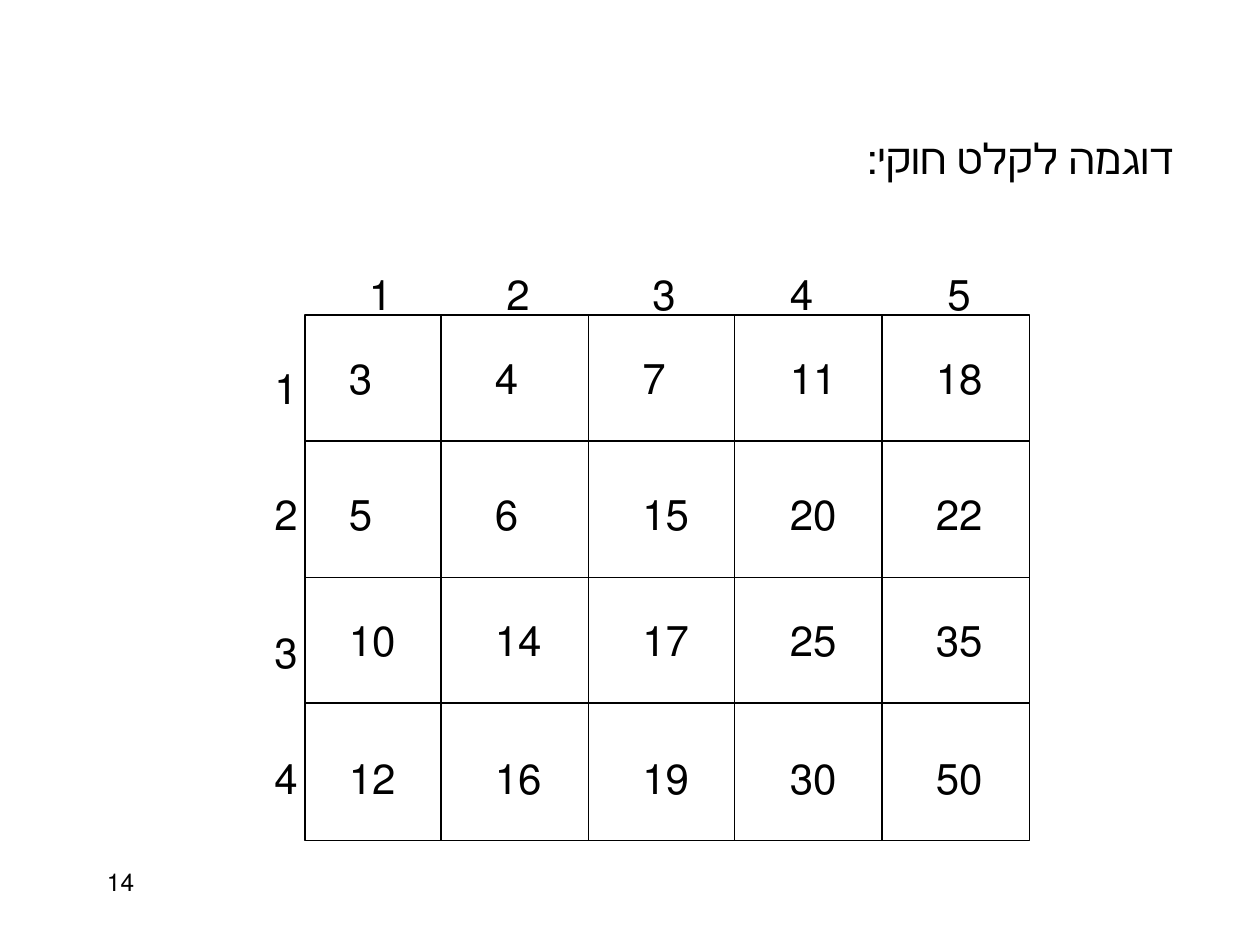
from dataclasses import dataclass

from lxml.etree import SubElement
from pptx import Presentation
from pptx.dml.color import RGBColor
from pptx.enum.shapes import MSO_CONNECTOR, MSO_SHAPE
from pptx.enum.text import MSO_AUTO_SIZE, PP_ALIGN
from pptx.oxml.ns import qn
from pptx.util import Inches, Pt


@dataclass(frozen=True)
class Theme:
    ink: RGBColor = RGBColor(0, 0, 0)
    paper: RGBColor = RGBColor(255, 255, 255)
    font: str = "Times New Roman"
    body: float = 24
    number: float = 14
    before: float = 15
    line: float = 0.75


@dataclass(frozen=True)
class Label:
    text: str
    left: float
    top: float
    width: float


THEME = Theme()

# Grid edges and the places of the labels, in inches
COLUMN_EDGES = [2.42, 3.5, 4.67, 5.83, 7, 8.17]
ROW_EDGES = [2.5, 3.5, 4.58, 5.58, 6.67]
MIDDLE_ROW = 4.58
COLUMN_HEADING_LEFTS = [2.83, 3.92, 5.08, 6.17, 7.42]
ROW_HEADING_TOPS = [2.83, 3.83, 4.92, 5.92]
CELL_LEFTS = [2.67, 3.83, 5, 6.17, 7.33]
CELL_TOPS = [2.75, 3.83, 4.83, 5.92]
HEADING_WIDTH, CELL_WIDTH = 0.5, 0.67

VALUES = [
    [3, 4, 7, 11, 18],
    [5, 6, 15, 20, 22],
    [10, 14, 17, 25, 35],
    [12, 16, 19, 30, 50],
]


def add_text(shapes, label: Label, *, size: float = THEME.body,
             align: PP_ALIGN = PP_ALIGN.LEFT, before: float = THEME.before,
             grow: bool = True) -> None:
    """Add a right-to-left text box half an inch high."""
    box = shapes.add_textbox(Inches(label.left), Inches(label.top),
                             Inches(label.width), Inches(0.5))
    frame = box.text_frame
    frame.word_wrap = True
    frame.auto_size = MSO_AUTO_SIZE.SHAPE_TO_FIT_TEXT if grow else MSO_AUTO_SIZE.NONE
    paragraph = frame.paragraphs[0]
    paragraph.alignment = align
    paragraph.space_before = Pt(before)
    paragraph._p.get_or_add_pPr().set("rtl", "1")
    run = paragraph.add_run()
    run.text = label.text
    run.font.name = THEME.font
    run.font.size = Pt(size)
    run.font.color.rgb = THEME.ink


def add_line(shapes, x1: float, y1: float, x2: float, y2: float):
    connector = shapes.add_connector(MSO_CONNECTOR.STRAIGHT, Inches(x1), Inches(y1),
                                     Inches(x2), Inches(y2))
    connector.line.color.rgb = THEME.ink
    connector.line.width = Pt(THEME.line)
    SubElement(connector._element.spPr, qn("a:effectLst"))
    return connector


def add_grid(shapes) -> None:
    left, *inner_columns, right = COLUMN_EDGES
    top, *inner_rows, bottom = ROW_EDGES
    frame = shapes.add_shape(MSO_SHAPE.RECTANGLE, Inches(left), Inches(top),
                             Inches(right - left), Inches(bottom - top))
    frame.shadow.inherit = False
    frame.fill.solid()
    frame.fill.fore_color.rgb = THEME.paper
    frame.line.color.rgb = THEME.ink
    frame.line.width = Pt(THEME.line)
    for y in inner_rows:
        line = add_line(shapes, left, y, right, y)
        if y == MIDDLE_ROW:
            line.begin_connect(frame, 1)
            line.end_connect(frame, 3)
    for x in inner_columns:
        add_line(shapes, x, top, x, bottom)


def add_matrix(slide) -> None:
    shapes = slide.shapes.add_group_shape().shapes
    add_grid(shapes)
    # Column and row indices
    for index, left in enumerate(COLUMN_HEADING_LEFTS, 1):
        add_text(shapes, Label(str(index), left, 2.08, HEADING_WIDTH))
    for index, top in enumerate(ROW_HEADING_TOPS, 1):
        add_text(shapes, Label(str(index), 2.08, top, HEADING_WIDTH))
    # Cell values
    for top, row in zip(CELL_TOPS, VALUES):
        for left, value in zip(CELL_LEFTS, row):
            add_text(shapes, Label(str(value), left, top, CELL_WIDTH))


def main() -> None:
    presentation = Presentation()
    presentation.slide_width = Inches(10)
    presentation.slide_height = Inches(7.5)
    slide = presentation.slides.add_slide(presentation.slide_layouts[6])

    add_matrix(slide)

    # Title and slide number
    add_text(slide.shapes, Label("דוגמה לקלט חוקי:", 0.17, 1, 9.25),
             align=PP_ALIGN.RIGHT)
    add_text(slide.shapes, Label("14", 0.75, 6.83, 2.08), size=THEME.number,
             before=0, grow=False)

    presentation.save("out.pptx")


if __name__ == "__main__":
    main()
